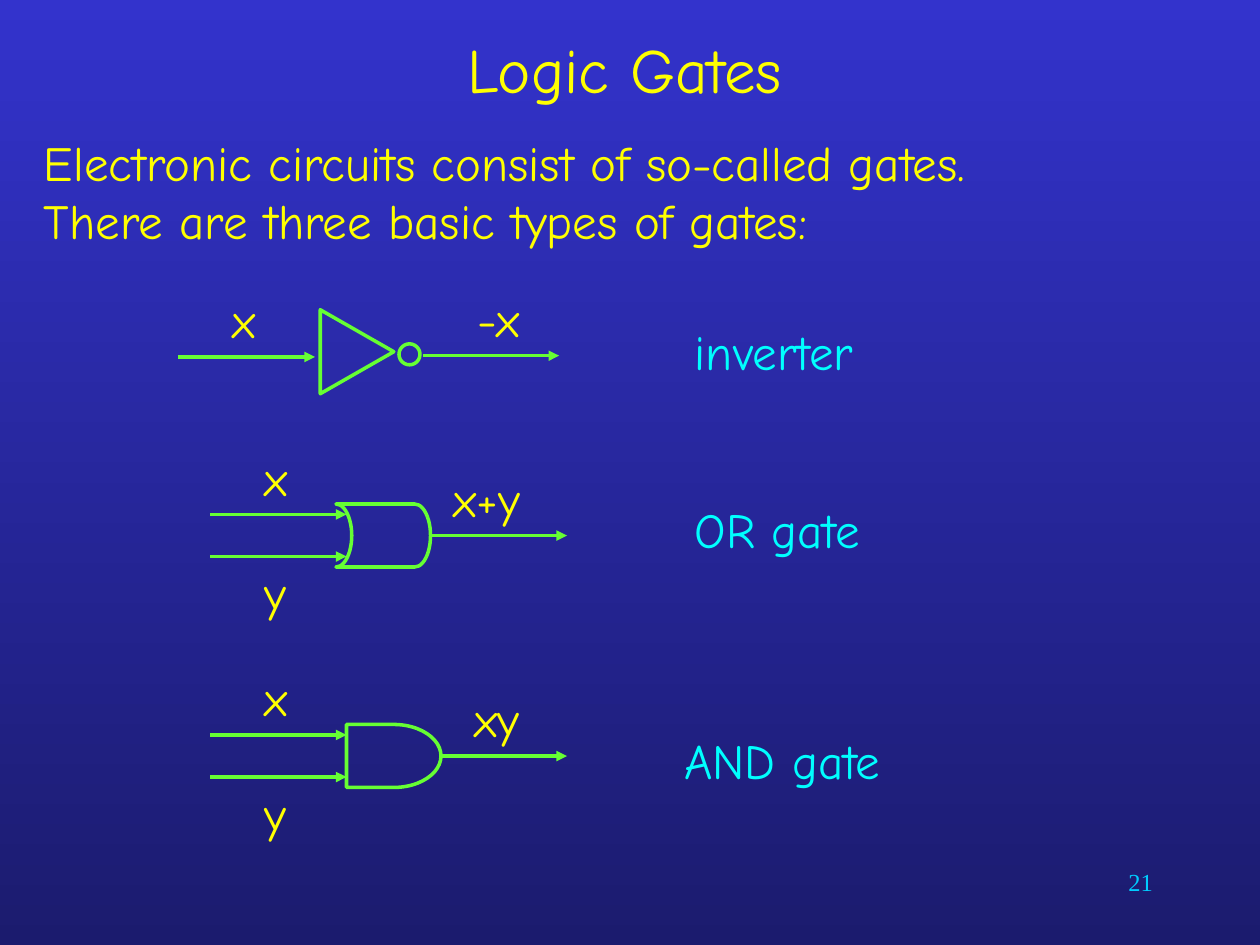
from dataclasses import dataclass

from lxml.etree import SubElement
from pptx import Presentation
from pptx.dml.color import RGBColor
from pptx.enum.shapes import MSO_CONNECTOR as Connector, MSO_SHAPE as Shape
from pptx.enum.text import MSO_ANCHOR as Anchor, MSO_AUTO_SIZE as AutoSize, PP_ALIGN as Align
from pptx.oxml.ns import qn
from pptx.util import Emu, Pt

EMU_PER_PX = 9525
COLORS = {
    "sky": "3333CC",
    "depth": "1B1B6E",
    "text": "FFFF00",
    "gate": "66FF33",
    "name": "00FFFF",
    "page": "00CCFF",
}
LABEL_HEIGHT = 55


@dataclass(frozen=True)
class Symbol:
    kind: Shape
    box: tuple[int, int, int, int]
    rotation: int = 0


@dataclass(frozen=True)
class Wire:
    start: int
    end: int
    y: int


@dataclass(frozen=True)
class Label:
    text: str
    left: int
    top: int
    width: int = 40


@dataclass(frozen=True)
class Gate:
    name: Label
    symbols: list[Symbol]
    wires: list[Wire]
    signals: list[Label]


GATES = [
    Gate(
        Label("inverter", 520, 240, 240),
        [
            Symbol(Shape.ISOSCELES_TRIANGLE, (240, 240, 64, 56), 90),
            Symbol(Shape.FLOWCHART_CONNECTOR, (304, 262, 16, 16)),
        ],
        [Wire(136, 240, 272), Wire(322, 426, 271)],
        [Label("x", 168, 216), Label("-x", 354, 215, 86)],
    ),
    Gate(
        Label("OR gate", 520, 376, 240),
        [Symbol(Shape.FLOWCHART_STORED_DATA, (256, 384, 72, 48), 180)],
        [Wire(160, 264, 392), Wire(160, 264, 424), Wire(328, 432, 408)],
        [Label("x", 192, 336), Label("y", 192, 424), Label("x+y", 336, 352, 88)],
    ),
    Gate(
        Label("AND gate", 512, 552, 240),
        [Symbol(Shape.FLOWCHART_DELAY, (264, 552, 72, 48))],
        [Wire(160, 264, 560), Wire(160, 264, 592), Wire(336, 432, 576)],
        [Label("x", 192, 504), Label("y", 192, 592), Label("xy", 352, 520, 88)],
    ),
]


def px(length: int) -> Emu:
    return Emu(length * EMU_PER_PX)


def rgb(color: str) -> RGBColor:
    return RGBColor.from_string(COLORS[color])


def place(target, left: int, top: int, width: int, height: int) -> None:
    target.left, target.top = px(left), px(top)
    target.width, target.height = px(width), px(height)


def write(target, text: str, *, size: int = 28, color: str = "text",
          font: str = "Comic Neue", align: Align = Align.LEFT,
          anchor: Anchor = Anchor.TOP) -> None:
    frame = target.text_frame
    frame.word_wrap = True
    frame.auto_size = AutoSize.NONE
    frame.vertical_anchor = anchor
    paragraph = frame.paragraphs[0]
    paragraph.text = text
    paragraph.alignment = align
    for run in paragraph.runs:
        run.font.name = font
        run.font.size = Pt(size)
        run.font.color.rgb = rgb(color)


def add_text(shapes, box: tuple[int, int, int, int], text: str, **style) -> None:
    write(shapes.add_textbox(*map(px, box)), text, **style)


def add_label(shapes, label: Label, color: str = "text") -> None:
    box = (label.left, label.top, label.width, LABEL_HEIGHT)
    add_text(shapes, box, label.text, color=color)


def stroke(line) -> None:
    line.color.rgb = rgb("gate")
    line.width = Pt(2)


def add_symbol(shapes, symbol: Symbol) -> None:
    outline = shapes.add_shape(symbol.kind, *map(px, symbol.box))
    outline.rotation = symbol.rotation
    outline.shadow.inherit = False
    outline.fill.background()
    stroke(outline.line)


def add_wire(shapes, wire: Wire) -> None:
    arrow = shapes.add_connector(
        Connector.STRAIGHT, px(wire.start), px(wire.y), px(wire.end), px(wire.y))
    stroke(arrow.line)
    SubElement(arrow.line._get_or_add_ln(), qn("a:tailEnd"), type="triangle")
    SubElement(arrow._element.spPr, qn("a:effectLst"))


def add_gate(shapes, gate: Gate) -> None:
    circuit = shapes.add_group_shape().shapes
    for symbol in gate.symbols:
        add_symbol(circuit, symbol)
    for wire in gate.wires:
        add_wire(circuit, wire)
    for signal in gate.signals:
        add_label(circuit, signal)
    add_label(shapes, gate.name, "name")


def paint_background(slide) -> None:
    fill = slide.background.fill
    fill.gradient()
    fill.gradient_angle = 270
    for stop, color in zip(fill.gradient_stops, ("sky", "depth")):
        stop.color.rgb = rgb(color)


def main() -> None:
    deck = Presentation()
    deck.slide_width, deck.slide_height = px(960), px(720)
    slide = deck.slides.add_slide(deck.slide_layouts[5])
    paint_background(slide)

    title = slide.shapes.title
    place(title, 24, 0, 904, 104)
    write(title, "Logic Gates", size=36, align=Align.CENTER, anchor=Anchor.MIDDLE)

    add_text(slide.shapes, (24, 96, 912, 104),
             "Electronic circuits consist of so-called gates.\v"
             "There are three basic types of gates:")
    for gate in GATES:
        add_gate(slide.shapes, gate)
    add_text(slide.shapes, (688, 656, 200, 48), "21", size=14, color="page",
             font="Times New Roman", align=Align.RIGHT)

    deck.save("out.pptx")


if __name__ == "__main__":
    main()
